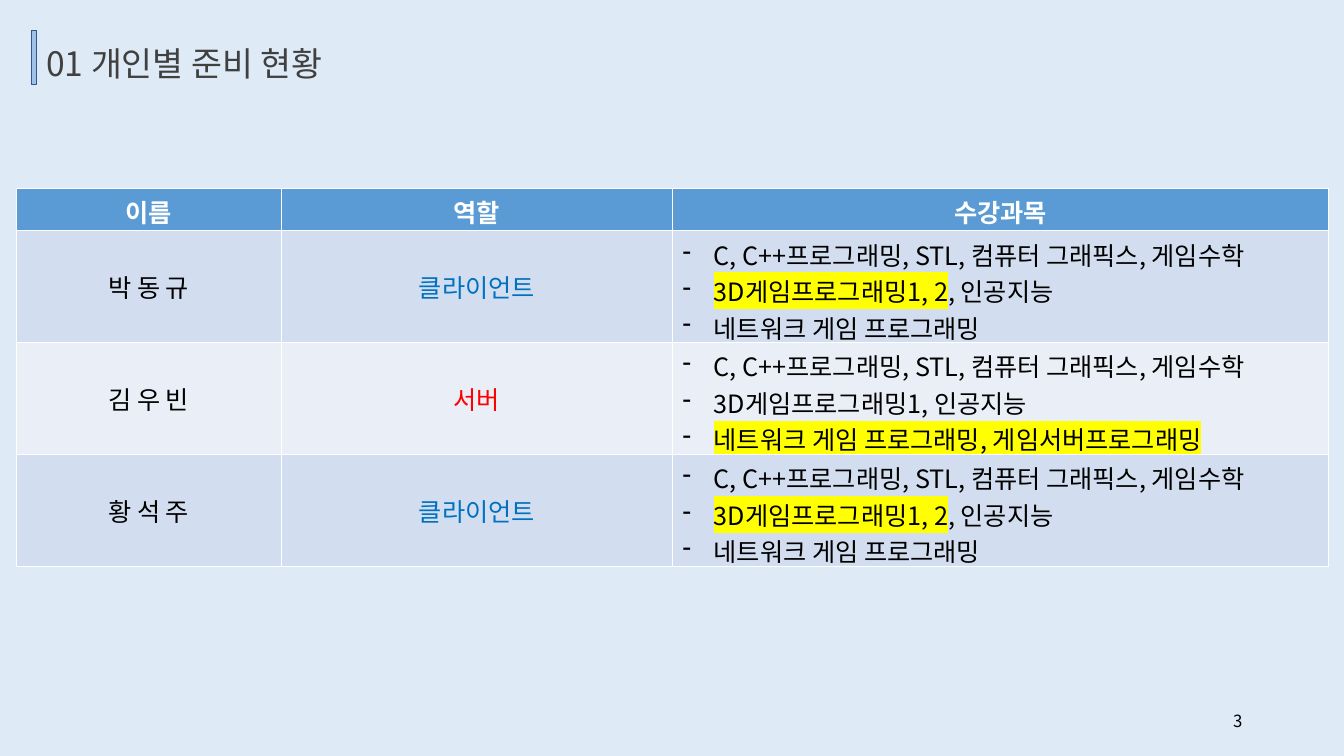
"""Build the slide on each team member's role and completed courses."""
from lxml import etree
from pptx import Presentation, util as u
from pptx.dml.color import RGBColor
from pptx.enum import shapes, text
from pptx.oxml.ns import qn

FONT = "Noto Sans CJK KR"
COLORS = {
    "background": "DEEBF7", "title": "404040", "accent": "9DC3E6", "accent_line": "325491",
    "header": "5B9BD5", "odd": "D2DEEF", "even": "EAEFF7", "white": "FFFFFF",
    "black": "000000", "client": "0070C0", "server": "FF0000", "highlight": "FFFF00",
}
rgb = {name: RGBColor.from_string(value) for name, value in COLORS.items()}


def write(paragraph, words, size=18, color="black", bold=False, align=None, marked=False):
    run = paragraph.add_run()
    run.text = words
    run.font.size, run.font.bold, run.font.name = u.Pt(size), bold, FONT
    run.font.color.rgb = rgb[color]
    if align is not None:
        paragraph.alignment = align
    props = run.font._element
    latin = props.find(qn("a:latin"))
    if marked:
        highlight = etree.Element(qn("a:highlight"))
        etree.SubElement(highlight, qn("a:srgbClr"), val=COLORS["highlight"])
        latin.addprevious(highlight)
    latin.addnext(etree.Element(qn("a:ea"), typeface=FONT))


deck = Presentation()
deck.slide_width, deck.slide_height = u.Inches(13.33), u.Inches(7.5)
slide = deck.slides.add_slide(deck.slide_layouts[6])
slide.background.fill.solid()
slide.background.fill.fore_color.rgb = rgb["background"]

title = slide.shapes.add_textbox(u.Inches(0.36), u.Inches(0.38), u.Inches(5.09), u.Inches(0.5))
title.text_frame.word_wrap = True
write(title.text_frame.paragraphs[0], "01 개인별 준비 현황", size=24, color="title")

title_bar = slide.shapes.add_shape(
    shapes.MSO_SHAPE.RECTANGLE, u.Inches(0.31), u.Inches(0.3), u.Inches(0.05), u.Inches(0.54))
title_bar.shadow.inherit = False
title_bar.fill.solid()
title_bar.fill.fore_color.rgb = rgb["accent"]
title_bar.line.color.rgb = rgb["accent_line"]
title_bar.line.width = u.Pt(1)

basics = [("C, C++프로그래밍, STL, 컴퓨터 그래픽스, 게임수학", False)]
client_courses = [
    basics,
    [("3D게임프로그래밍1, 2", True), (", 인공지능", False)],
    [("네트워크 게임 프로그래밍", False)],
]
server_courses = [
    basics,
    [("3D게임프로그래밍1, 인공지능", False)],
    [("네트워크 게임 프로그래밍, 게임서버프로그래밍", True)],
]
members = [
    ("박 동 규", "클라이언트", "client", client_courses),
    ("김 우 빈", "서버", "server", server_courses),
    ("황 석 주", "클라이언트", "client", client_courses),
]
headings = ["이름", "역할", "수강과목"]
column_widths = [2.63, 3.88, 6.51]
row_heights = [0.42] + [1.11] * len(members)
center = text.PP_ALIGN.CENTER

roster = slide.shapes.add_table(
    len(row_heights), len(headings), u.Inches(0.16), u.Inches(1.87),
    u.Inches(sum(column_widths)), u.Inches(sum(row_heights))).table
for column, width in zip(roster.columns, column_widths):
    column.width = u.Inches(width)
for row, height in zip(roster.rows, row_heights):
    row.height = u.Inches(height)

for index, heading in enumerate(headings):
    write(roster.cell(0, index).text_frame.paragraphs[0], heading,
          color="white", bold=True, align=center)

for row, (name, role, role_color, courses) in enumerate(members, 1):
    write(roster.cell(row, 0).text_frame.paragraphs[0], name, align=center)
    write(roster.cell(row, 1).text_frame.paragraphs[0], role, color=role_color, align=center)
    course_list = roster.cell(row, 2).text_frame
    for index, course_line in enumerate(courses):
        bullet = course_list.add_paragraph() if index else course_list.paragraphs[0]
        indent = u.Inches(0.31)
        layout = bullet._p.get_or_add_pPr()
        layout.set("marL", str(indent))
        layout.set("indent", str(-indent))
        etree.SubElement(layout, qn("a:buFontTx"))
        etree.SubElement(layout, qn("a:buChar"), char="-")
        for words, marked in course_line:
            write(bullet, words, marked=marked)

row_fills = ["header", "odd", "even", "odd"]
for row, fill in zip(roster.rows, row_fills):
    for cell in row.cells:
        cell.fill.solid()
        cell.fill.fore_color.rgb = rgb[fill]
        if fill != "header":
            cell.vertical_anchor = text.MSO_ANCHOR.MIDDLE

page_number = slide.shapes.add_textbox(u.Inches(9.42), u.Inches(6.95), u.Inches(3), u.Inches(0.4))
page_number.text_frame.word_wrap = True
page_number.text_frame.vertical_anchor = text.MSO_ANCHOR.MIDDLE
write(page_number.text_frame.paragraphs[0], "3", size=12, align=text.PP_ALIGN.RIGHT)

deck.save("out.pptx")
